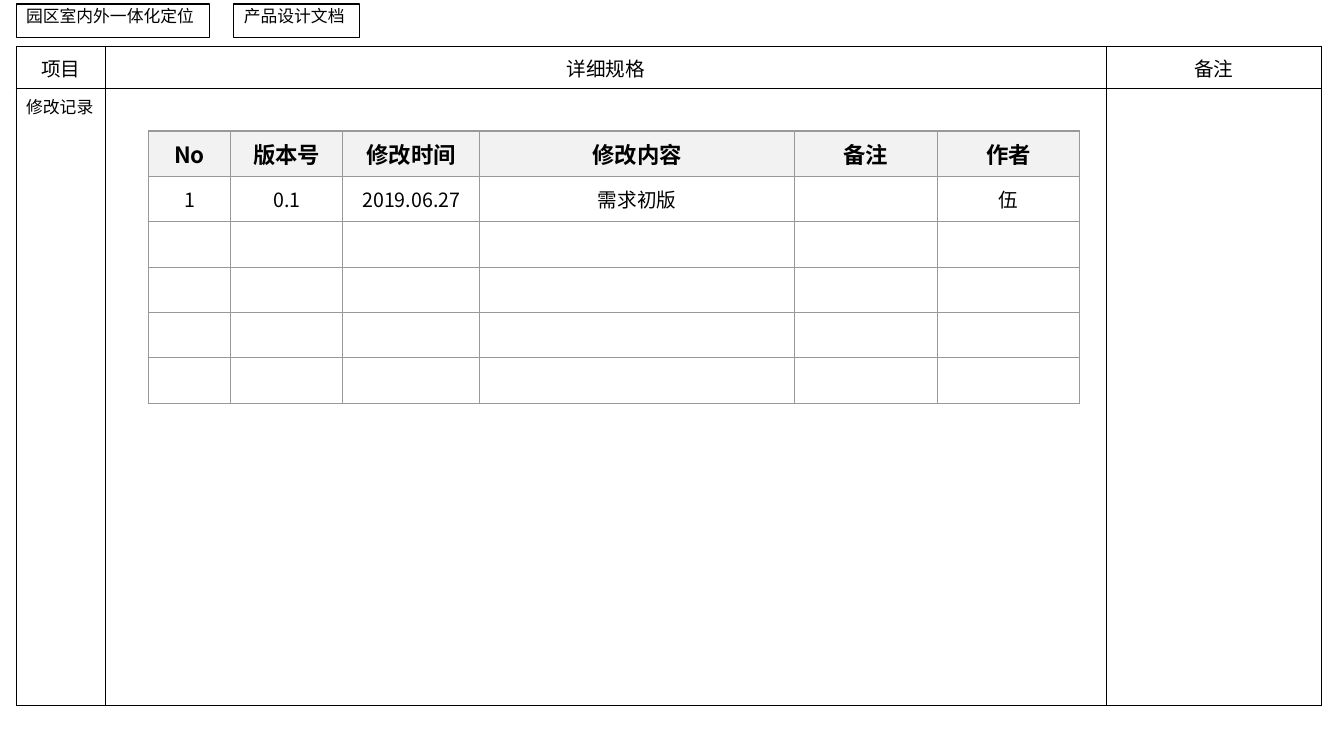
from dataclasses import dataclass

from lxml import etree
from pptx import Presentation
from pptx.dml.color import RGBColor
from pptx.enum import shapes, text
from pptx.oxml import ns
from pptx.util import Inches, Pt

BLACK = RGBColor(0x00, 0x00, 0x00)
WHITE = RGBColor(0xFF, 0xFF, 0xFF)
GRID_GRAY = RGBColor(0x99, 0x99, 0x99)
HEADER_GRAY = RGBColor(0xF2, 0xF2, 0xF2)
LATIN_FONT = "Arial"
CHINESE_FONT = "Noto Sans CJK SC"


@dataclass(frozen=True)
class RowStyle:
    font: str
    size: int
    bold: bool
    fill: RGBColor
    align: text.PP_ALIGN
    anchor: text.MSO_ANCHOR


@dataclass(frozen=True)
class Grid:
    left: float
    top: float
    columns: list[float]
    rows: list[float]
    border: RGBColor
    border_width: float
    header: RowStyle
    body: RowStyle
    content: list[list[str]]


@dataclass(frozen=True)
class Tag:
    left: float
    width: float
    caption: str


CENTER, LEFT = text.PP_ALIGN.CENTER, text.PP_ALIGN.LEFT
MIDDLE, TOP = text.MSO_ANCHOR.MIDDLE, text.MSO_ANCHOR.TOP

SPECIFICATION = Grid(
    0.16, 0.46, [0.89, 9.92, 2.14], [0.42, 6.12], BLACK, 0.75,
    RowStyle(LATIN_FONT, 14, False, WHITE, CENTER, MIDDLE),
    RowStyle(CHINESE_FONT, 12, False, WHITE, LEFT, TOP),
    [["项目", "详细规格", "备注"], ["修改记录", "", ""]],
)
REVISIONS = Grid(
    1.47, 1.3, [0.82, 1.11, 1.36, 3.12, 1.42, 1.41], [0.45] * 6, GRID_GRAY, 1,
    RowStyle(CHINESE_FONT, 16, True, HEADER_GRAY, CENTER, MIDDLE),
    RowStyle(CHINESE_FONT, 14, False, WHITE, CENTER, MIDDLE),
    [
        ["No", "版本号", "修改时间", "修改内容", "备注", "作者"],
        ["1", "0.1", "2019.06.27", "需求初版", "", "伍"],
        *[[""] * 6 for _ in range(4)],
    ],
)
TAGS = [
    Tag(0.16, 1.92, "园区室内外一体化定位"),
    Tag(2.32, 1.25, "产品设计文档"),
]


def format_text(paragraph, font: str, size: int, bold: bool) -> None:
    for run in paragraph.runs:
        run.font.name = font
        run.font.size = Pt(size)
        run.font.bold = bold
        run.font.color.rgb = BLACK


def add_borders(cell, color: RGBColor, width: float) -> None:
    properties = cell._tc.get_or_add_tcPr()
    for position, side in enumerate(("a:lnL", "a:lnR", "a:lnT", "a:lnB")):
        border = etree.Element(ns.qn(side), w=str(Pt(width)))
        fill = etree.SubElement(border, ns.qn("a:solidFill"))
        etree.SubElement(fill, ns.qn("a:srgbClr"), val=str(color))
        properties.insert(position, border)


def draw_grid(slide, grid: Grid) -> None:
    table = slide.shapes.add_table(
        len(grid.rows), len(grid.columns), Inches(grid.left), Inches(grid.top),
        Inches(sum(grid.columns)), Inches(sum(grid.rows)),
    ).table
    for column, width in zip(table.columns, grid.columns):
        column.width = Inches(width)
    for index, (row, height) in enumerate(zip(table.rows, grid.rows)):
        row.height = Inches(height)
        style = grid.body if index else grid.header
        for cell, wording in zip(row.cells, grid.content[index]):
            cell.text_frame.text = wording
            cell.vertical_anchor = style.anchor
            cell.fill.solid()
            cell.fill.fore_color.rgb = style.fill
            paragraph = cell.text_frame.paragraphs[0]
            paragraph.alignment = style.align
            format_text(paragraph, style.font, style.size, style.bold)
            add_borders(cell, grid.border, grid.border_width)


def draw_tag(slide, tag: Tag) -> None:
    box = slide.shapes.add_shape(
        shapes.MSO_SHAPE.RECTANGLE,
        Inches(tag.left), Inches(0.04), Inches(tag.width), Inches(0.33),
    )
    box.shadow.inherit = False
    box.fill.background()
    box.line.color.rgb = BLACK
    box.line.width = Pt(0.75)
    frame = box.text_frame
    frame.text = tag.caption
    frame.word_wrap = False
    frame.vertical_anchor = TOP
    frame.margin_top = Inches(0.02)
    frame.margin_bottom = Inches(0.02)
    paragraph = frame.paragraphs[0]
    paragraph.alignment = LEFT
    format_text(paragraph, LATIN_FONT, 12, False)


def main() -> None:
    presentation = Presentation()
    presentation.slide_width = Inches(13.33)
    presentation.slide_height = Inches(7.5)
    slide = presentation.slides.add_slide(presentation.slide_layouts[6])
    draw_grid(slide, SPECIFICATION)
    for tag in TAGS:
        draw_tag(slide, tag)
    draw_grid(slide, REVISIONS)
    presentation.save("out.pptx")


if __name__ == "__main__":
    main()
